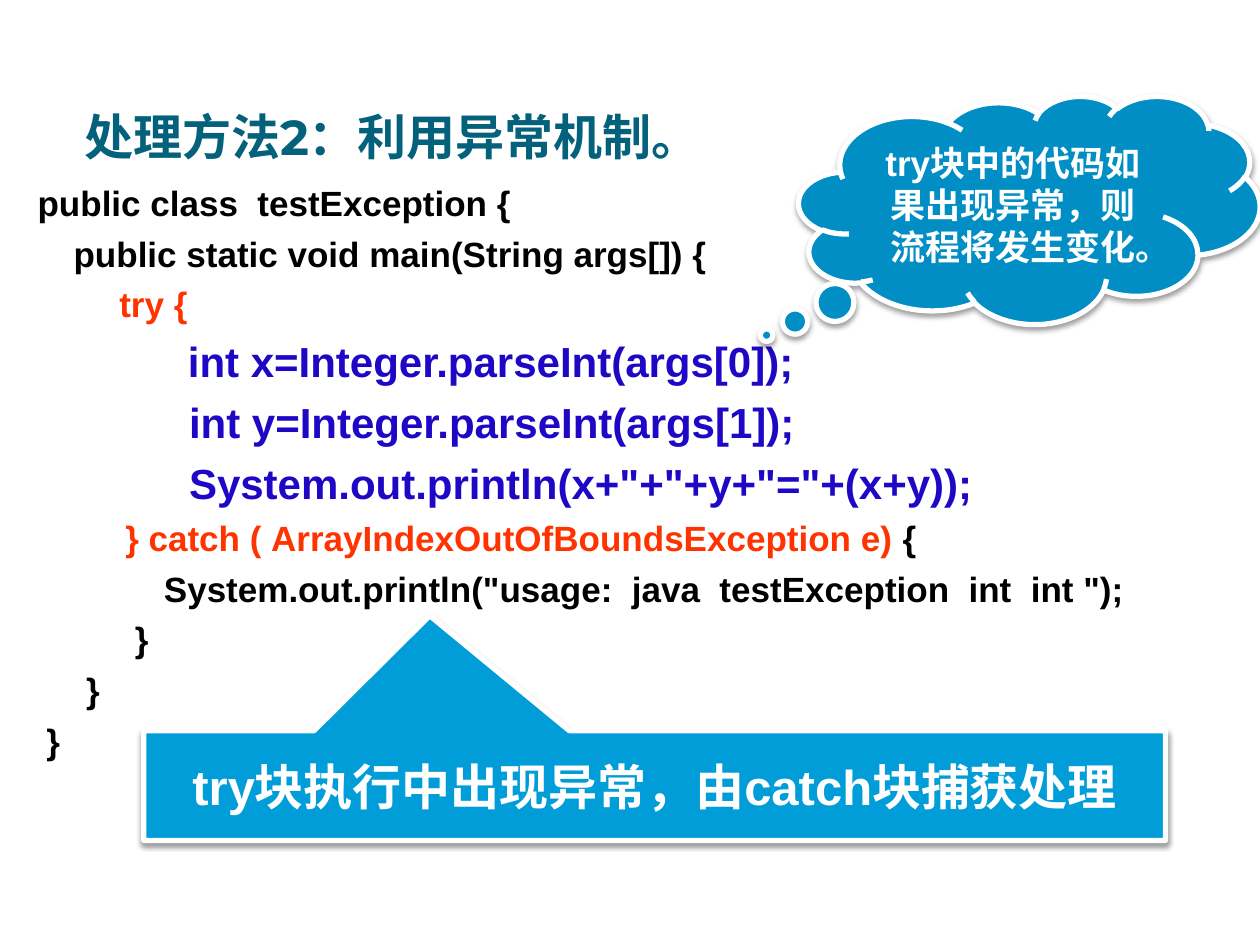
from typing import NamedTuple

from lxml.etree import SubElement
from pptx import Presentation
from pptx.dml.color import RGBColor
from pptx.enum.shapes import MSO_SHAPE
from pptx.enum.text import MSO_ANCHOR, PP_ALIGN
from pptx.oxml.ns import qn
from pptx.util import Inches, Pt

TEAL = RGBColor(0x04, 0x61, 0x7B)
BLACK = RGBColor(0, 0, 0)
RED = RGBColor(0xFF, 0x33, 0x00)
INDIGO = RGBColor(0x1E, 0x07, 0xC5)
SKY = RGBColor(0x00, 0x9D, 0xD9)
BLUE = RGBColor(0x00, 0x8E, 0xC4)
WHITE = RGBColor(0xFF, 0xFF, 0xFF)
SANS, SERIF, HEAD = "Arial", "Times New Roman", "Montserrat"


class Box(NamedTuple):
    left: float
    top: float
    width: float
    height: float


class Piece(NamedTuple):
    text: str
    color: RGBColor = BLACK
    font: str = SANS


class Line(NamedTuple):
    pieces: list[Piece]
    size: int = 20


class Callout(NamedTuple):
    kind: MSO_SHAPE
    box: Box
    tip: tuple[float, float]
    fill: RGBColor
    text: str
    size: int


CODE = [
    Line([Piece("public class\u00a0 testException {")]),
    Line([Piece("\u00a0" * 3, font=SERIF),
          Piece(" public static void main(String args[]) {")]),
    Line([Piece("\u00a0" * 6, font=SERIF), Piece("   try {", RED)]),
    Line([Piece("\u00a0", font=SERIF),
          Piece("            int x=Integer.parseInt(args[0]);", INDIGO)], 24),
    Line([Piece("             int y=Integer.parseInt(args[1]);", INDIGO)], 24),
    Line([Piece('             System.out.println(x+"+"+y+"="+(x+y));', INDIGO)], 24),
    Line([Piece("\u00a0" * 7 + " \u00a0 ", font=SERIF),
          Piece("}\u00a0catch (\u00a0ArrayIndexOutOfBoundsException e)", RED),
          Piece(" {")]),
    Line([Piece('             System.out.println("usage:  java  testException  int  int ");')]),
    Line([Piece("          }")]),
    Line([Piece("     }")]),
    Line([Piece("\u00a0", font=SERIF), Piece("}\u00a0\u00a0\u00a0")]),
]

CALLOUTS = [
    Callout(MSO_SHAPE.RECTANGULAR_CALLOUT, Box(1.14, 5.8, 8.11, 0.87),
            (-0.22, -1.55), SKY, "try块执行中出现异常，由catch块捕获处理", 28),
    Callout(MSO_SHAPE.CLOUD_CALLOUT, Box(6.34, 0.76, 3.66, 1.81),
            (-0.57, 0.55), BLUE, "try块中的代码如果出现异常，则流程将发生变化。", 20),
]


def add_run(para, piece: Piece, size: int) -> None:
    run = para.add_run()
    run.text = piece.text
    style = {"name": piece.font, "size": Pt(size), "bold": True}
    for key, value in style.items():
        setattr(run.font, key, value)
    run.font.color.rgb = piece.color


def add_text(slide, box: Box, lines: list[Line], **look) -> None:
    frame = slide.shapes.add_textbox(*map(Inches, box)).text_frame
    for key, value in {"word_wrap": True, **look}.items():
        setattr(frame, key, value)
    for row, line in enumerate(lines):
        para = frame.add_paragraph() if row else frame.paragraphs[0]
        if row:
            para.space_before = Pt(line.size / 4)
        for piece in line.pieces:
            add_run(para, piece, line.size)


def add_shadow(shape) -> None:
    """Give the shape a soft black shadow straight below it."""
    shape.shadow.inherit = False
    effects = shape._element.spPr.find(qn("a:effectLst"))
    outer = SubElement(effects, qn("a:outerShdw"), blurRad=str(Pt(3.1)),
                       dist=str(Pt(1.6)), dir="5400000", rotWithShape="0")
    color = SubElement(outer, qn("a:srgbClr"), val="000000")
    SubElement(color, qn("a:alpha"), val="38000")


def add_callout(slide, note: Callout) -> None:
    shape = slide.shapes.add_shape(note.kind, *map(Inches, note.box))
    for index, value in enumerate(note.tip):
        shape.adjustments[index] = value
    shape.fill.solid()
    shape.fill.fore_color.rgb = note.fill
    shape.line.color.rgb = WHITE
    shape.line.width = Pt(3)
    add_shadow(shape)
    frame = shape.text_frame
    frame.word_wrap = True
    frame.vertical_anchor = MSO_ANCHOR.MIDDLE
    para = frame.paragraphs[0]
    para.alignment = PP_ALIGN.CENTER
    add_run(para, Piece(note.text, WHITE), note.size)


def main() -> None:
    deck = Presentation()
    deck.slide_width, deck.slide_height = Inches(10), Inches(7.5)
    slide = deck.slides.add_slide(deck.slide_layouts[6])
    title = Line([Piece("处理方法2：利用异常机制。", TEAL, HEAD)], 28)
    add_text(slide, Box(0.67, 0.68, 8.58, 0.63), [title],
             vertical_anchor=MSO_ANCHOR.BOTTOM,
             margin_left=0, margin_right=0, margin_bottom=0)
    add_text(slide, Box(0.2, 1.39, 9.61, 4.88), CODE)
    for note in CALLOUTS:
        add_callout(slide, note)
    deck.save("out.pptx")


if __name__ == "__main__":
    main()
